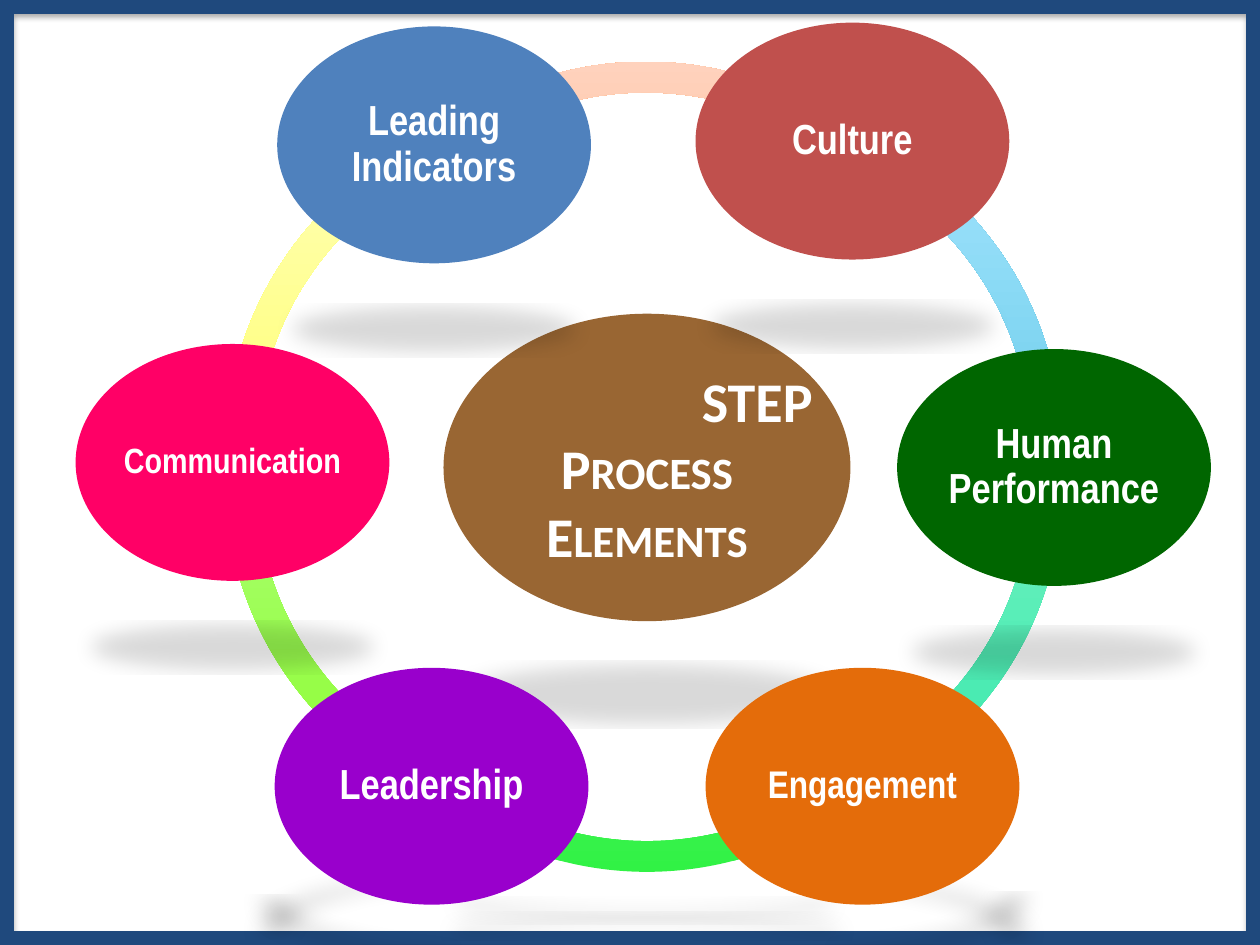
import pptx
import pptx.dml.color
import pptx.enum.shapes
import pptx.enum.text
import pptx.oxml.ns
import pptx.util
from lxml import etree

Inches = pptx.util.Inches
Pt = pptx.util.Pt
RGB = pptx.dml.color.RGBColor
SHAPE = pptx.enum.shapes.MSO_SHAPE
ALIGN = pptx.enum.text.PP_ALIGN
qn = pptx.oxml.ns.qn

WHITE = RGB(0xFF, 0xFF, 0xFF)
NAVY = RGB(0x1F, 0x49, 0x7D)
BROWN = RGB(0x99, 0x66, 0x33)
RED = RGB(0xC0, 0x50, 0x4D)
GREEN = RGB(0x00, 0x66, 0x00)
ORANGE = RGB(0xE4, 0x6C, 0x0A)
PURPLE = RGB(0x99, 0x00, 0xCC)
PINK = RGB(0xFF, 0x00, 0x66)
BLUE = RGB(0x4F, 0x81, 0xBD)
PEACH = (RGB(0xFF, 0x95, 0x3E), RGB(0xFF, 0xD2, 0xBD))
YELLOW = (RGB(0xFE, 0xFF, 0x35), RGB(0xFF, 0xFF, 0xB9))
LIME = (RGB(0x8A, 0xFD, 0x2E), RGB(0xCC, 0xFF, 0xB4))
LEAF = (RGB(0x31, 0xF2, 0x45), RGB(0xB0, 0xFF, 0xB4))
MINT = (RGB(0x34, 0xE6, 0xA9), RGB(0xAC, 0xFF, 0xD9))
SKY = (RGB(0x39, 0xB7, 0xD8), RGB(0xA7, 0xE6, 0xFF))

RING = 5.43
RING_THICKNESS = 0.045
NODE_SIZE = (2.49, 1.88)

ARCS = [
    (2.41, 0.49, 138.48, 185.02, PEACH),
    (1.79, 0.86, 106.77, 147.87, YELLOW),
    (1.79, 1.1, 68.28, 109.81, LIME),
    (2.42, 1.49, 30, 78.04, LEAF),
    (3, 1.13, 214.26, 38.81, MINT),
    (3, 0.84, 176.07, 1.98, SKY),
]
NODES = [
    ("Culture", 5.52, 0.18, RED, 24),
    ("Human Performance", 7.12, 2.77, GREEN, 24),
    ("Engagement", 5.6, 5.3, ORANGE, 22),
    ("Leadership", 2.18, 5.3, PURPLE, 24),
    ("Communication", 0.6, 2.73, PINK, 20),
    ("Leading Indicators", 2.2, 0.21, BLUE, 24),
]


def apply(target, values):
    """Set each named attribute of the target."""
    for name, value in values.items():
        setattr(target, name, value)


class CycleSlide:
    """Holds the style and the slide on which the cycle is drawn."""

    node_font = {"name": "Arial Narrow", "bold": True}
    hub_font = {"name": "Calibri", "bold": True, "size": Pt(32)}
    frame_shadow = {"blurRad": 40000, "dist": 23000, "dir": 5400000}
    floor_shadow = {"blurRad": 152400, "dist": 317500, "dir": 5400000,
                    "sx": 90000, "sy": -19000, "rotWithShape": 0}

    def __init__(self, slide):
        self.slide = slide

    def shape(self, kind, left, top, width, height):
        return self.slide.shapes.add_shape(
            kind, Inches(left), Inches(top), Inches(width), Inches(height))

    def shadow(self, shape, values, opacity):
        shape.shadow.inherit = False
        effects = shape._element.spPr.find(qn("a:effectLst"))
        outer = etree.SubElement(effects, qn("a:outerShdw"))
        for name, value in values.items():
            outer.set(name, str(value))
        black = etree.SubElement(outer, qn("a:srgbClr"), val="000000")
        etree.SubElement(black, qn("a:alpha"), val=str(opacity * 1000))

    def frame(self):
        border = self.shape(SHAPE.RECTANGLE, 0.05, 0.05, 9.9, 7.4)
        border.fill.background()
        border.line.color.rgb = NAVY
        border.line.width = Pt(8.75)
        outline = border._element.spPr.find(qn("a:ln"))
        etree.SubElement(outline, qn("a:miter"), lim="800000")
        self.shadow(border, self.frame_shadow, 35)

    def arc(self, left, top, start, end, colors):
        band = self.shape(SHAPE.BLOCK_ARC, left, top, RING, RING)
        for index, value in enumerate((start, end, RING_THICKNESS)):
            band.adjustments[index] = value
        band.fill.gradient()
        band.fill.gradient_angle = 90
        for position, (stop, color) in enumerate(zip(band.fill.gradient_stops, colors)):
            stop.position = position
            stop.color.rgb = color
        band.line.fill.background()
        self.shadow(band, self.floor_shadow, 15)

    def ellipse(self, left, top, width, height, color):
        oval = self.shape(SHAPE.OVAL, left, top, width, height)
        oval.fill.solid()
        oval.fill.fore_color.rgb = color
        oval.line.fill.background()
        self.shadow(oval, self.floor_shadow, 15)
        return oval

    def text(self, frame, lines, font, inset, spacing):
        apply(frame, {
            "word_wrap": True,
            "vertical_anchor": pptx.enum.text.MSO_ANCHOR.MIDDLE,
            "margin_left": Inches(inset), "margin_right": Inches(inset),
            "margin_top": Inches(0.03), "margin_bottom": Inches(0.03),
        })
        frame.text = "\n".join(lines)
        for paragraph in frame.paragraphs:
            apply(paragraph, {"alignment": ALIGN.CENTER, "line_spacing": spacing})
            for run in paragraph.runs:
                apply(run.font, font)
                run.font.color.rgb = WHITE

    def hub(self):
        heading = self.ellipse(3.52, 2.49, 3.23, 2.44, BROWN).text_frame
        self.text(heading, ["STEP", "Process Elements"], self.hub_font, 0.04, 1.0)
        for paragraph, indent in zip(heading.paragraphs, (0.87, 0)):
            paragraph.runs[0].font._element.set("cap", "small")
            properties = paragraph._p.get_or_add_pPr()
            properties.set("marL", str(Inches(indent)))
            properties.set("indent", "0")

    def node(self, label, left, top, color, size):
        oval = self.ellipse(left, top, *NODE_SIZE, color)
        self.text(oval.text_frame, [label], {**self.node_font, "size": Pt(size)}, 0, 0.9)


def main():
    deck = pptx.Presentation()
    apply(deck, {"slide_width": Inches(10), "slide_height": Inches(7.5)})
    cycle = CycleSlide(deck.slides.add_slide(deck.slide_layouts[6]))
    cycle.frame()
    for arc in ARCS:
        cycle.arc(*arc)
    cycle.hub()
    for node in NODES:
        cycle.node(*node)
    deck.save("out.pptx")


if __name__ == "__main__":
    main()
